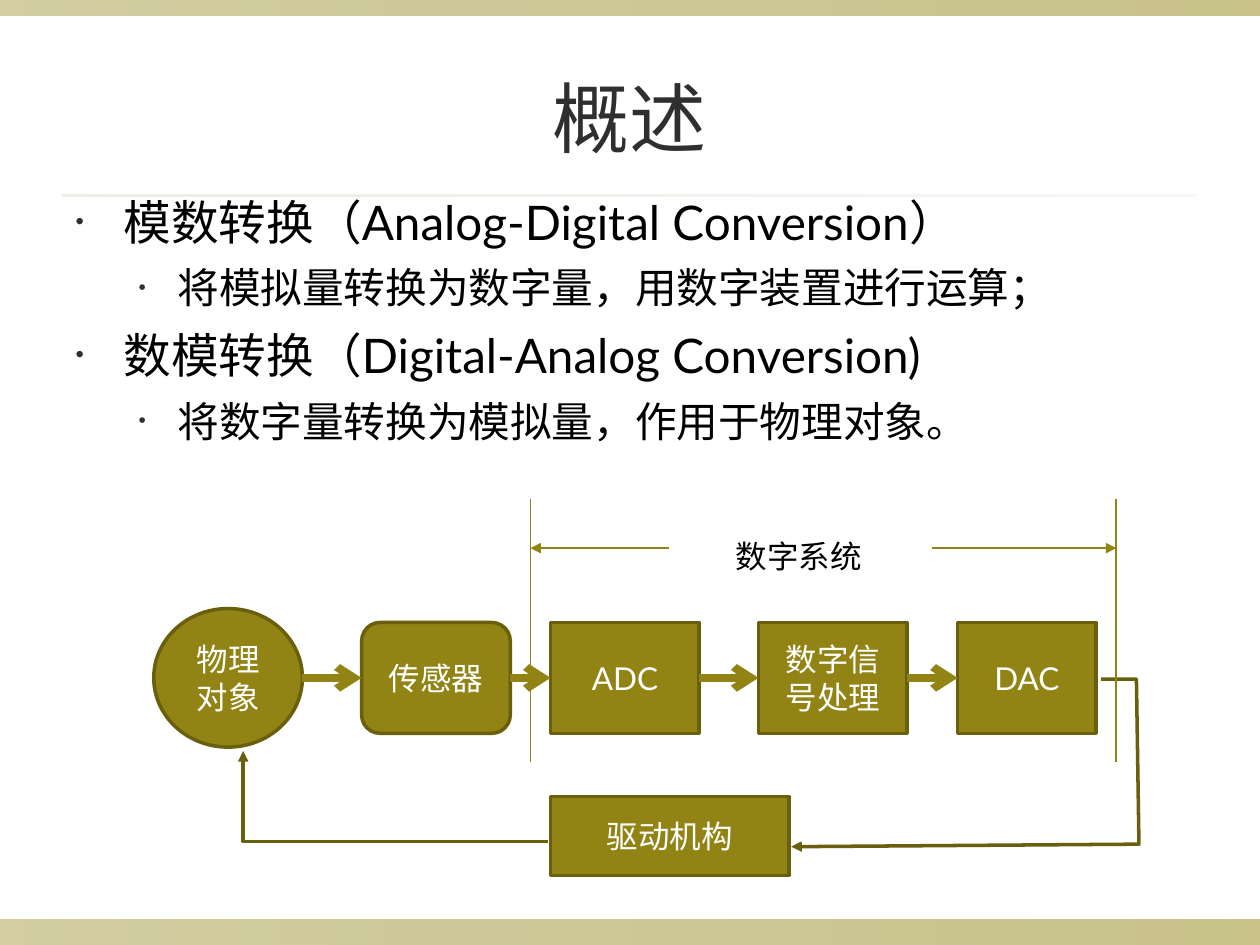
from dataclasses import dataclass

from lxml import etree
from pptx import Presentation
from pptx.dml.color import RGBColor
from pptx.enum.shapes import MSO_CONNECTOR, MSO_SHAPE
from pptx.enum.text import MSO_ANCHOR, MSO_AUTO_SIZE, PP_ALIGN
from pptx.oxml.ns import qn
from pptx.util import Pt

RECTANGLE, ROUNDED, OVAL = MSO_SHAPE.RECTANGLE, MSO_SHAPE.ROUNDED_RECTANGLE, MSO_SHAPE.OVAL
STRAIGHT = MSO_CONNECTOR.STRAIGHT
CENTER, MIDDLE = PP_ALIGN.CENTER, MSO_ANCHOR.MIDDLE
NO_FIT = MSO_AUTO_SIZE.NONE
LEFT_SITE, RIGHT_SITE = 1, 3
PX = 9144  # 100 px to the inch


@dataclass(frozen=True)
class Theme:
    font: str = "Lato"
    label_font: str = "Arial"
    olive: str = "918415"
    outline: str = "695F0C"
    rule: str = "DCD9CC"
    heading: str = "2F2F2F"
    text: str = "000000"
    white: str = "FFFFFF"
    title_size: float = 44
    body_sizes: tuple = (27.2, 23.8)
    label_size: float = 18


THEME = Theme()


def emu(*lengths):
    return [length * PX for length in lengths]


def set_format(target, values):
    for name, value in values.items():
        setattr(target, name, value)


def set_font(paragraph, size, color, name=THEME.font):
    set_format(paragraph.font, {"name": name, "size": Pt(size)})
    paragraph.font.color.rgb = RGBColor.from_string(color)


def place(shape, box):
    set_format(shape, dict(zip(("left", "top", "width", "height"), emu(*box))))


def style_line(shape, color, width, arrowhead=None):
    shape.line.color.rgb = RGBColor.from_string(color)
    shape.line.width = Pt(width)
    if arrowhead:
        line = shape.line._get_or_add_ln()
        etree.SubElement(line, qn("a:tailEnd"), type=arrowhead)


def add_band(slide, box, color, opacities):
    """Borderless strip that fades from left to right."""
    band = slide.shapes.add_shape(RECTANGLE, *emu(*box))
    band.shadow.inherit = False
    band.line.fill.background()
    band.fill.gradient()
    band.fill.gradient_angle = 0
    for stop in band.fill.gradient_stops:
        stop.color.rgb = RGBColor.from_string(color)
    for element, opacity in zip(band._element.iter(qn("a:srgbClr")), opacities):
        etree.SubElement(element, qn("a:alpha"), val=str(opacity * 1000))


def add_frame(slide, box):
    left, top, width, height = box
    add_band(slide, (left, top + height - 20, width, 20), THEME.olive, (40, 50))
    add_band(slide, (left, top, width, 12), THEME.olive, (40, 50))
    add_band(slide, (left + 50, top + 154, width - 100, 2), THEME.rule, (50, 20))


def add_title(slide, box, text):
    title = slide.shapes.title
    place(title, box)
    title.text_frame.text = text
    set_format(title.text_frame, {"vertical_anchor": MIDDLE, "auto_size": NO_FIT})
    paragraph = title.text_frame.paragraphs[0]
    paragraph.alignment = CENTER
    set_font(paragraph, THEME.title_size, THEME.heading)


def add_bullet(paragraph, left, hanging):
    properties = paragraph._p.get_or_add_pPr()
    properties.set("marL", str(left * PX))
    properties.set("indent", str(-hanging * PX))
    color = etree.SubElement(properties, qn("a:buClr"))
    etree.SubElement(color, qn("a:srgbClr"), val=THEME.heading)
    etree.SubElement(properties, qn("a:buSzPct"), val="50000")
    etree.SubElement(properties, qn("a:buFont"), typeface=THEME.label_font)
    etree.SubElement(properties, qn("a:buChar"), char="•")


def add_body(slide, box, items):
    body = slide.placeholders[1]
    place(body, box)
    frame = body.text_frame
    frame.auto_size = NO_FIT
    indents, spaces = ((38, 38), (81, 31)), (8, 7)
    for index, (level, text) in enumerate(items):
        paragraph = frame.add_paragraph() if index else frame.paragraphs[0]
        paragraph.text = text
        add_bullet(paragraph, *indents[level])
        set_format(paragraph, {
            "level": level,
            "line_spacing": 1.0,
            "space_before": Pt(spaces[level] if index else 0),
        })
        set_font(paragraph, THEME.body_sizes[level], THEME.text)


def add_block(slide, kind, box, text):
    block = slide.shapes.add_shape(kind, *emu(*box))
    block.shadow.inherit = False
    block.fill.solid()
    block.fill.fore_color.rgb = RGBColor.from_string(THEME.olive)
    style_line(block, THEME.outline, 2)
    frame = block.text_frame
    frame.text = text
    set_format(frame, {"word_wrap": True, "vertical_anchor": MIDDLE})
    frame.paragraphs[0].alignment = CENTER
    set_font(frame.paragraphs[0], THEME.label_size, THEME.white)
    return block


def add_line(slide, start, end, width, arrowhead=None):
    line = slide.shapes.add_connector(STRAIGHT, *emu(*start, *end))
    style_line(line, THEME.olive, width, arrowhead)
    etree.SubElement(line._element.spPr, qn("a:effectLst"))
    return line


def add_feedback(slide, points):
    builder = slide.shapes.build_freeform(*points[0], scale=PX)
    builder.add_line_segments(points[1:], close=False)
    shape = builder.convert_to_shape()
    shape.shadow.inherit = False
    shape.fill.background()
    style_line(shape, THEME.outline, 2, "triangle")


def add_loop_diagram(slide, box):
    left, top, width, height = box

    def at(x, y):
        return left + x, top + y

    # Signal chain
    chain = [
        (OVAL, 0, 87, 118, 110, "物理对象"),
        (ROUNDED, 165, 98, 118, 88, "传感器"),
        (RECTANGLE, 315, 98, 118, 88, "ADC"),
        (RECTANGLE, 480, 98, 118, 88, "数字信号处理"),
        (RECTANGLE, 638, 98, 110, 88, "DAC"),
    ]
    blocks = [add_block(slide, kind, (*at(x, y), w, h), text)
              for kind, x, y, w, h, text in chain]
    add_block(slide, RECTANGLE, (*at(315, height - 63), 189, 63), "驱动机构")

    # Arrows along the chain
    for index, (source, target) in enumerate(zip(blocks, blocks[1:])):
        end_x = chain[index + 1][1]
        start_x = chain[index][1] + chain[index][3]
        arrow = add_line(slide, at(start_x, 142), at(end_x, 142), 4.5, "arrow")
        if chain[index][0] != OVAL:
            arrow.begin_connect(source, RIGHT_SITE)
        arrow.end_connect(target, LEFT_SITE)

    # Feedback through the actuator
    add_feedback(slide, [at(752, 143), at(780, 143), at(width, 274), at(506, 276)])
    add_feedback(slide, [at(313, 272), at(71, 272), at(71, 200)])

    # Extent of the digital system
    for edge, inner in ((299, 409), (764, 618)):
        add_line(slide, at(edge, 0), at(edge, 209), 1)
        add_line(slide, at(inner, 39), at(edge, 39), 1, "triangle")
    label = slide.shapes.add_textbox(*emu(*at(452, 25), 120, 40))
    label.text_frame.text = "数字系统"
    label.text_frame.word_wrap = False
    set_font(label.text_frame.paragraphs[0], THEME.label_size, THEME.text, THEME.label_font)


def main():
    presentation = Presentation()
    set_format(presentation, {"slide_width": 1000 * PX, "slide_height": 750 * PX})
    slide = presentation.slides.add_slide(presentation.slide_layouts[1])
    add_frame(slide, (0, 0, 1000, 750))
    add_title(slide, (50, 30, 900, 125), "概述")
    add_body(slide, (50, 148, 950, 213), [
        (0, "模数转换（Analog-Digital Conversion）"),
        (1, "将模拟量转换为数字量，用数字装置进行运算；"),
        (0, "数模转换（Digital-Analog Conversion)"),
        (1, "将数字量转换为模拟量，作用于物理对象。"),
    ])
    add_loop_diagram(slide, (122, 396, 782, 299))
    presentation.save("out.pptx")


if __name__ == "__main__":
    main()
